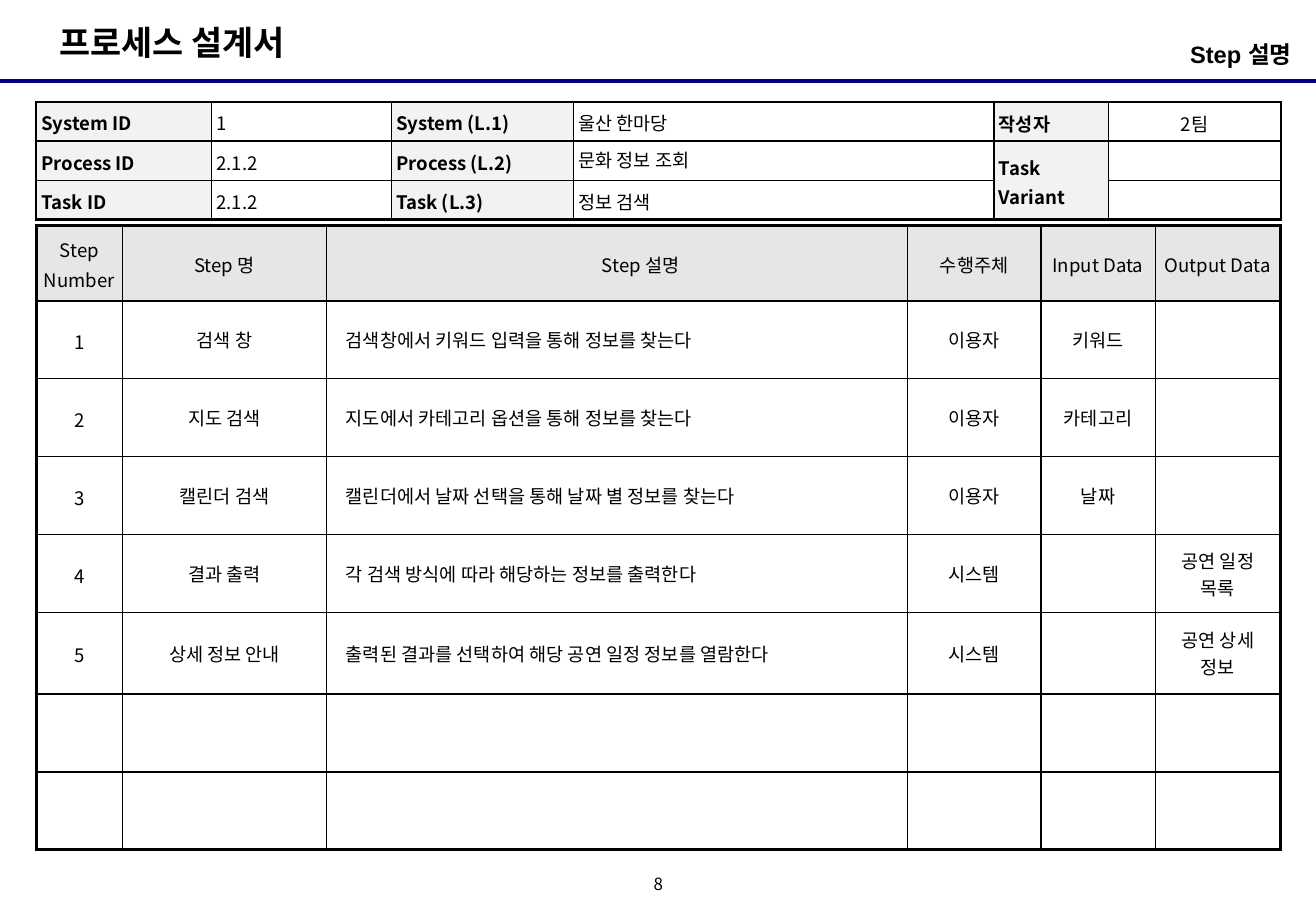
import pptx
import pptx.dml.color
import pptx.enum.shapes
import pptx.enum.text
import pptx.oxml
import pptx.oxml.ns
import pptx.util
from lxml import etree

Cm, Pt = pptx.util.Cm, pptx.util.Pt
qn = pptx.oxml.ns.qn
ALIGN = pptx.enum.text.PP_ALIGN
ANCHOR = pptx.enum.text.MSO_ANCHOR
FIT = pptx.enum.text.MSO_AUTO_SIZE


def rgb(value):
    return pptx.dml.color.RGBColor.from_string(value)


class ProcessSheet:
    FONT, TEXT, RULE = "Noto Sans CJK KR", "000000", "000080"
    LABEL_FILL, HEADER_FILL = "F2F2F2", "E6E6E6"
    SIZE, THIN = 11, 1

    def __init__(self, prs):
        self.s = prs.slides.add_slide(prs.slide_layouts[1])

    def set_text(self, tf, text, size=SIZE, bold=False, align=ALIGN.LEFT,
                 font=FONT, spacing=None, indent=0):
        p = tf.paragraphs[0]
        p.text = text
        p.alignment = align
        p.line_spacing = spacing
        pPr = p._p.get_or_add_pPr()
        pPr.set("marL", str(Cm(indent)))
        pPr.set("indent", "0")
        for r in p.runs:
            r.font.name = font
            r.font.size = Pt(size)
            r.font.bold = bold
            r.font.color.rgb = rgb(self.TEXT)
            ea = etree.Element(qn("a:ea"), typeface=self.FONT)
            r.font._element.find(qn("a:latin")).addnext(ea)
        if not text:
            p._p.get_or_add_endParaRPr().set("sz", str(size * 100))
        return p

    def place(self, sp, left, top, width, height, margins, wrap, fit, anchor):
        sp.left, sp.top, sp.width, sp.height = map(Cm, (left, top, width, height))
        tf = sp.text_frame
        tf.margin_left = tf.margin_right = Cm(margins[0])
        tf.margin_top = tf.margin_bottom = Cm(margins[1])
        tf.word_wrap = wrap
        tf.auto_size = fit
        tf.vertical_anchor = anchor
        return tf

    def title(self, text):
        tf = self.place(self.s.shapes.title, 0.99, 0.33, 5.74, 1.12, (0.25, 0.13),
                        False, FIT.SHAPE_TO_FIT_TEXT, ANCHOR.TOP)
        self.set_text(tf, text, 20, True)

    def subtitle(self, text):
        tf = self.place(self.s.placeholders[1], 18.6, 0.71, 8.4, 0.99, (0, 0.13),
                        True, FIT.NONE, ANCHOR.TOP)
        p = self.set_text(tf, text, 14, True, ALIGN.RIGHT, "Arial")
        p.space_before = Pt(0)
        etree.SubElement(p._p.pPr, qn("a:buNone"))

    def page_number(self, text):
        sp = self.s.shapes.add_textbox(0, 0, 0, 0)
        tf = self.place(sp, 13.34, 18.21, 0.84, 0.64, (0, 0),
                        False, FIT.NONE, ANCHOR.MIDDLE)
        self.set_text(tf, text, 10, align=ALIGN.CENTER, spacing=0.8)

    def rule(self, y, width):
        line = self.s.shapes.add_connector(
            pptx.enum.shapes.MSO_CONNECTOR.STRAIGHT, 0, Cm(y), width, Cm(y))
        line.line.color.rgb = rgb(self.RULE)
        line.line.width = Pt(2.25)
        etree.SubElement(line._element.spPr, qn("a:effectLst"))

    def borders(self, cell, widths):
        """Draw the cell's edges; widths maps L, R, T and B to points."""
        tcPr = cell._tc.get_or_add_tcPr()
        for side, width in widths.items():
            ln = etree.SubElement(tcPr, qn("a:ln" + side), w=str(Pt(width)))
            fill = etree.SubElement(ln, qn("a:solidFill"))
            etree.SubElement(fill, qn("a:srgbClr"), val=self.TEXT)

    def table(self, top, cols, rows, texts, frame, margin, shade, style, heavy=()):
        """Add a framed grid; shade and style are functions of row and column."""
        tbl = self.s.shapes.add_table(len(rows), len(cols), Cm(0.76), Cm(top),
                                      Cm(sum(cols)), Cm(sum(rows))).table
        tbl.first_row = tbl.horz_banding = False
        for col, width in zip(tbl.columns, cols):
            col.width = Cm(width)
        for i, (row, height) in enumerate(zip(tbl.rows, rows)):
            row.height = Cm(height)
            for j, cell in enumerate(row.cells):
                outer = {"L": j == 0, "R": j == len(cols) - 1,
                         "T": i == 0, "B": i == len(rows) - 1}
                self.borders(cell, {
                    side: frame if edge or (i, j, side) in heavy else self.THIN
                    for side, edge in outer.items()})
                fill = shade(i, j)
                if fill:
                    cell.fill.solid()
                    cell.fill.fore_color.rgb = rgb(fill)
                else:
                    cell.fill.background()
                cell.margin_left = cell.margin_right = Cm(margin)
                cell.margin_top = cell.margin_bottom = Cm(0.1)
                anchor, look = style(i, j)
                cell.vertical_anchor = anchor
                self.set_text(cell.text_frame, texts[i][j], **look)
        return tbl

    def info_table(self, texts):
        def is_label(j):
            return j % 2 == 0

        def style(i, j):
            return (ANCHOR.MIDDLE if j >= 4 else ANCHOR.TOP,
                    {"bold": is_label(j),
                     "align": ALIGN.CENTER if j == 5 else ALIGN.LEFT,
                     "spacing": None if (i, j) == (1, 3) else 1.1})

        heavy = {(0, 4, "B"), (0, 5, "B"), (1, 4, "T"), (1, 5, "T"), (1, 4, "B")}
        tbl = self.table(2.13, [3.66, 3.76, 3.81, 8.79, 2.39, 3.61], [0.79] * 3,
                         texts, 1.5, 0.1,
                         lambda i, j: self.LABEL_FILL if is_label(j) else None,
                         style, heavy)
        tbl.cell(1, 4).merge(tbl.cell(2, 4))

    def step_table(self, texts):
        def style(i, j):
            look = {"align": ALIGN.CENTER}
            if i == 0 or j == 0:
                look["spacing"] = 1.1
            if j == 2:
                look["indent"] = 0.25 if i else 0.99
                look["align"] = ALIGN.LEFT if i else ALIGN.CENTER
            if i and j == 1:
                look["font"] = "Arial"
            return ANCHOR.MIDDLE, look

        self.table(4.72, [1.8, 4.27, 12.14, 2.79, 2.39, 2.62],
                   [1.57] + [1.63] * 4 + [1.7] + [1.63] * 2, texts, 2.25, 0.15,
                   lambda i, j: None if i else self.HEADER_FILL, style)


INFO = [
    ["System ID", "1", "System (L.1)", "울산 한마당", "작성자", "2팀"],
    ["Process ID", "2.1.2", "Process (L.2)", "문화 정보 조회", "Task Variant", ""],
    ["Task ID", "2.1.2", "Task (L.3)", "정보 검색", "", ""],
]
STEPS = [
    ["Step Number", "Step 명", "Step 설명", "수행주체", "Input Data", "Output Data"],
    ["1", "검색 창", "검색창에서 키워드 입력을 통해 정보를 찾는다", "이용자", "키워드", ""],
    ["2", "지도 검색", "지도에서 카테고리 옵션을 통해 정보를 찾는다", "이용자", "카테고리", ""],
    ["3", "캘린더 검색", "캘린더에서 날짜 선택을 통해 날짜 별 정보를 찾는다", "이용자", "날짜", ""],
    ["4", "결과 출력", "각 검색 방식에 따라 해당하는 정보를 출력한다", "시스템", "", "공연 일정 목록"],
    ["5", "상세 정보 안내", "출력된 결과를 선택하여 해당 공연 일정 정보를 열람한다", "시스템", "",
     "공연 상세 정보"],
    [""] * 6,
    [""] * 6,
]


def main():
    prs = pptx.Presentation()
    prs.slide_width, prs.slide_height = Cm(27.51), Cm(19.05)
    sheet = ProcessSheet(prs)
    sheet.rule(1.7, prs.slide_width)
    sheet.title("프로세스 설계서")
    sheet.subtitle("Step 설명")
    sheet.info_table(INFO)
    sheet.step_table(STEPS)
    sheet.page_number("8")
    prs.save("out.pptx")


if __name__ == "__main__":
    main()
